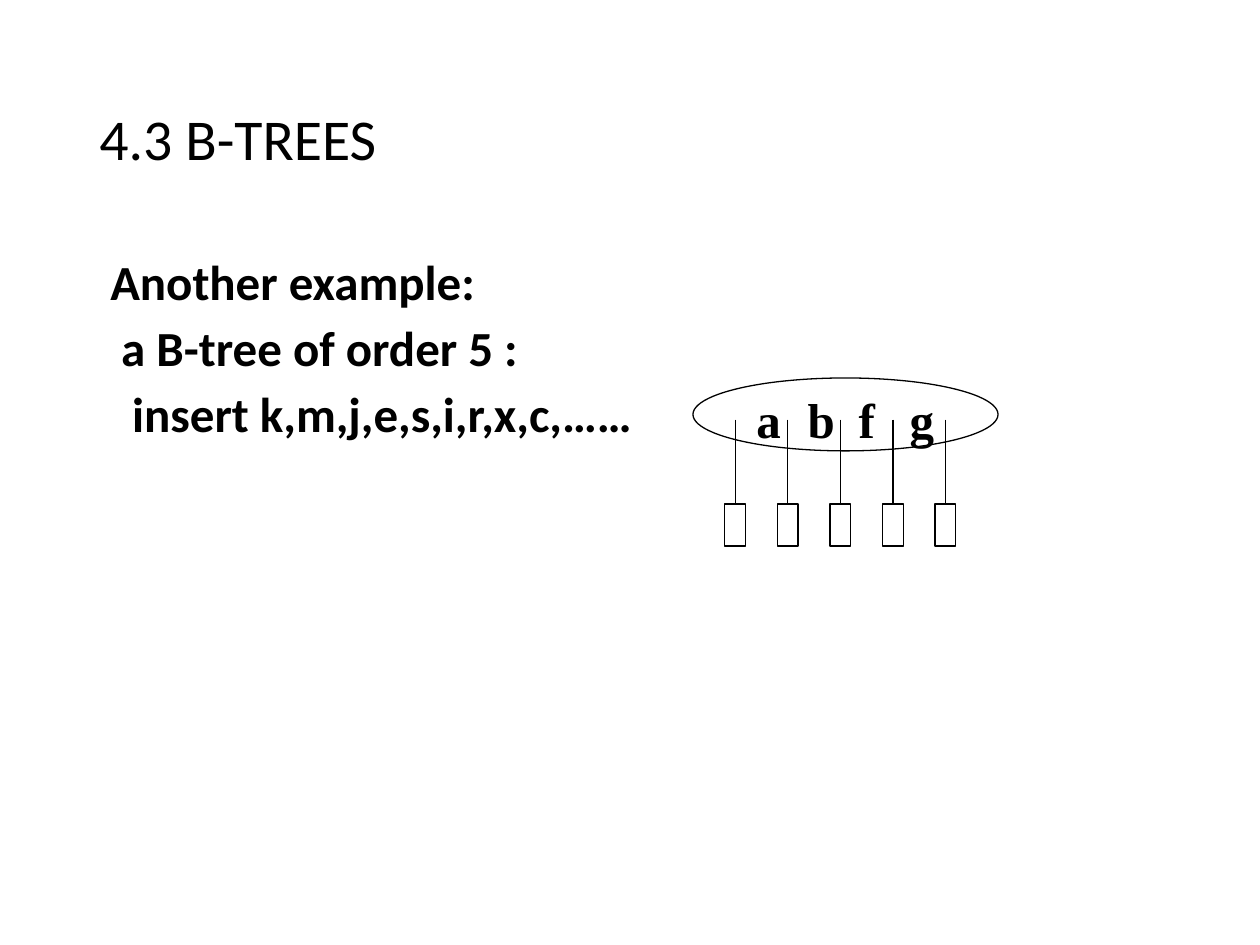
"""Build a slide showing a B-tree node of order 5 with its five children."""
from dataclasses import dataclass

from lxml import etree
from pptx import Presentation
from pptx import util as u
from pptx.dml.color import RGBColor
from pptx.enum import shapes, text
from pptx.oxml import ns

BLACK = "000000"
BODY_FONT = "Calibri"
NODE_FONT = "Times New Roman"
CHILD_COUNT = 5
CHILD_PITCH = 1.06
FIRST_CHILD_CENTRE = 14.82
KEY_PITCH = 1.03


@dataclass(frozen=True)
class Box:
    left: float
    top: float
    width: float
    height: float

    def lengths(self) -> tuple:
        return tuple(u.Cm(v) for v in (self.left, self.top, self.width, self.height))


TITLE_BOX = Box(1.75, 1.02, 21.92, 3.68)
BODY_BOX = Box(1.75, 5.08, 21.92, 12.09)
NODE_BOX = Box(13.97, 7.62, 6.15, 1.47)
CHILD_SIZE = (0.42, 0.85)
LINK_TOP, LINK_BOTTOM = 8.46, 10.16


def colour(value: str) -> RGBColor:
    return RGBColor.from_string(value)


def place(shape, box: Box) -> None:
    shape.left, shape.top, shape.width, shape.height = box.lengths()


def add_run(paragraph, words: str, font: str, size: float, bold: bool = False) -> None:
    run = paragraph.add_run()
    run.text = words
    run.font.name = font
    run.font.size = u.Pt(size)
    run.font.bold = bold
    run.font.color.rgb = colour(BLACK)


def add_outline(group, kind, box: Box):
    shape = group.shapes.add_shape(kind, *box.lengths())
    shape.shadow.inherit = False
    shape.fill.background()
    shape.line.color.rgb = colour(BLACK)
    shape.line.width = u.Pt(0.75)
    return shape


def add_link(group, centre: float) -> None:
    link = group.shapes.add_connector(
        shapes.MSO_CONNECTOR.STRAIGHT,
        u.Cm(centre), u.Cm(LINK_TOP), u.Cm(centre), u.Cm(LINK_BOTTOM),
    )
    link.line.color.rgb = colour(BLACK)
    link.line.width = u.Pt(0.75)
    etree.SubElement(link._element.spPr, ns.qn("a:effectLst"))


def add_node(group, keys: list[str]) -> None:
    node = add_outline(group, shapes.MSO_SHAPE.OVAL, NODE_BOX)
    frame = node.text_frame
    frame.word_wrap = True
    frame.vertical_anchor = text.MSO_ANCHOR.MIDDLE
    frame.margin_left, frame.margin_right = u.Cm(0.38), u.Cm(0)
    frame.margin_top, frame.margin_bottom = u.Cm(0.2), u.Cm(0)
    paragraph = frame.paragraphs[0]
    paragraph.alignment = text.PP_ALIGN.LEFT
    tabs = etree.SubElement(paragraph._p.get_or_add_pPr(), ns.qn("a:tabLst"))
    for index in range(1, len(keys)):
        stop = etree.SubElement(tabs, ns.qn("a:tab"))
        stop.set("pos", str(u.Cm(index * KEY_PITCH)))
        stop.set("algn", "l")
    add_run(paragraph, "\t".join(keys), NODE_FONT, 28, True)


def add_child(group, centre: float) -> None:
    width, height = CHILD_SIZE
    add_link(group, centre)
    add_outline(group, shapes.MSO_SHAPE.RECTANGLE,
                Box(centre - width / 2, LINK_BOTTOM, width, height))


def fill_title(title, words: str) -> None:
    place(title, TITLE_BOX)
    frame = title.text_frame
    frame.auto_size = text.MSO_AUTO_SIZE.NONE
    frame.vertical_anchor = text.MSO_ANCHOR.MIDDLE
    paragraph = frame.paragraphs[0]
    paragraph.alignment = text.PP_ALIGN.LEFT
    paragraph.line_spacing = 0.9
    add_run(paragraph, words, BODY_FONT, 33)


def fill_body(body, lines: list[str]) -> None:
    place(body, BODY_BOX)
    frame = body.text_frame
    frame.auto_size = text.MSO_AUTO_SIZE.NONE
    for index, words in enumerate(lines):
        paragraph = frame.add_paragraph() if index else frame.paragraphs[0]
        properties = paragraph._p.get_or_add_pPr()
        properties.set("marL", str(u.Cm(0.22 * (index + 1))))
        properties.set("indent", "0")
        etree.SubElement(properties, ns.qn("a:buNone"))
        paragraph.line_spacing = 0.9
        paragraph.space_before = u.Pt(7.5 if index else 0)
        add_run(paragraph, words, BODY_FONT, 28, True)


def main() -> None:
    presentation = Presentation()
    presentation.slide_width, presentation.slide_height = u.Cm(25.4), u.Cm(19.05)
    slide = presentation.slides.add_slide(presentation.slide_layouts[1])
    fill_title(slide.shapes.title, "4.3 B-TREES")
    fill_body(slide.placeholders[1], [
        "Another example:",
        "a B-tree of order 5 :",
        "insert k,m,j,e,s,i,r,x,c,……",
    ])
    tree = slide.shapes.add_group_shape()
    add_node(tree, ["a", "b", "f", "g"])
    for index in range(CHILD_COUNT):
        add_child(tree, FIRST_CHILD_CENTRE + index * CHILD_PITCH)
    presentation.save("out.pptx")


if __name__ == "__main__":
    main()
